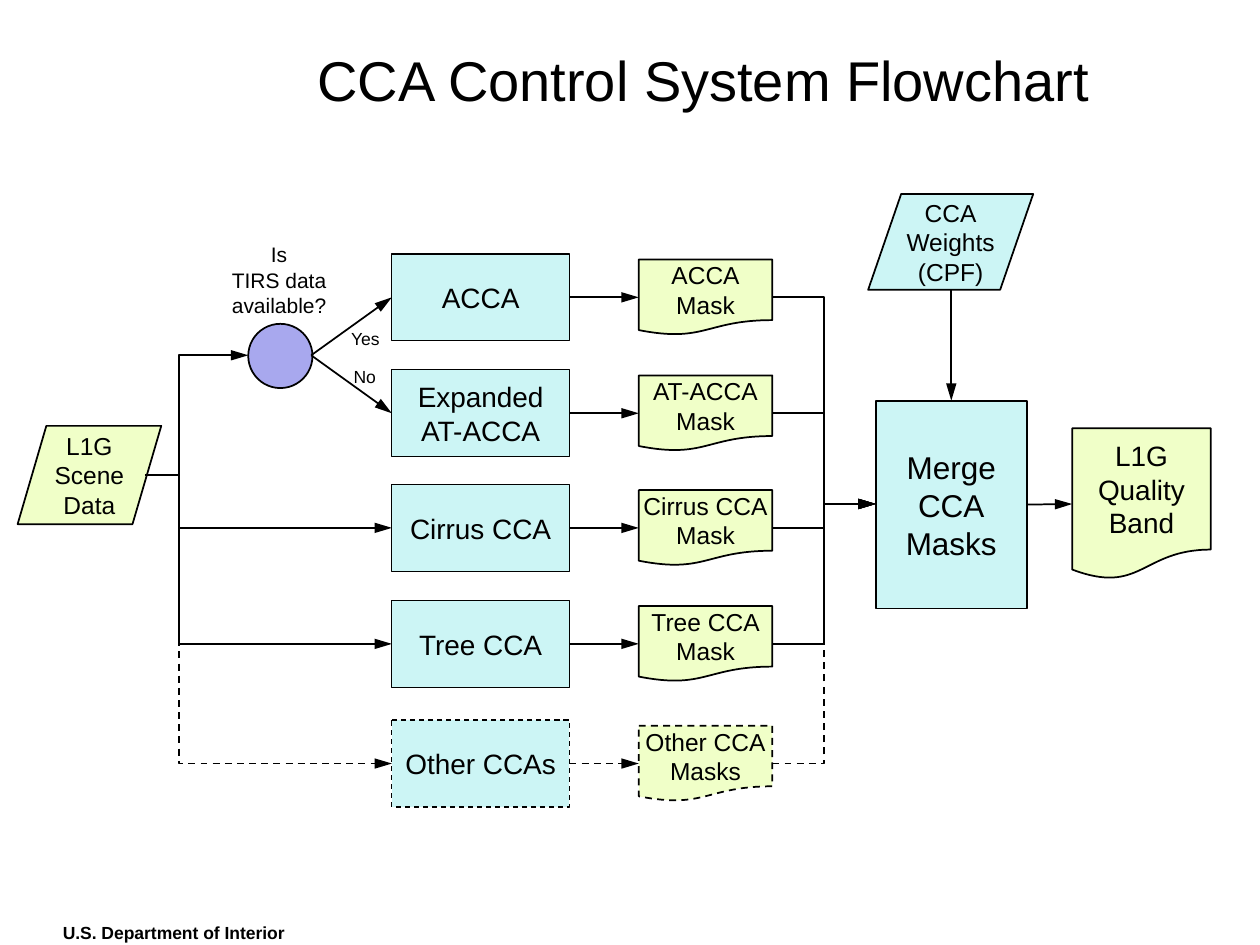
"""Build the CCA control system flowchart slide."""
from pptx import Presentation
from pptx.util import Inches, Pt
from pptx.dml.color import RGBColor
from pptx.enum.dml import MSO_LINE
from pptx.enum.shapes import MSO_CONNECTOR as LINK, MSO_SHAPE as FORM
from pptx.enum.text import MSO_ANCHOR, PP_ALIGN
from pptx.oxml.ns import qn
from lxml.etree import SubElement

COLORS = {"ink": "000000", "aqua": "CCF5F5", "lime": "F0FFC8", "violet": "A8A8EE"}

deck = Presentation()
deck.slide_width, deck.slide_height = Inches(10), Inches(7.5)
slide = deck.slides.add_slide(deck.slide_layouts[6])
shapes = slide.shapes
unit = deck.slide_width / 100


def node(form, x, y, w, h, text, size, fill=None, dash=False, weight=1, align=PP_ALIGN.CENTER):
    box = [round(v * unit) for v in (x, y, w, h)]
    if form is None:
        item = shapes.add_textbox(*box)
    else:
        item = shapes.add_shape(form, *box)
        item.shadow.inherit = False
        item.fill.solid()
        item.fill.fore_color.rgb = RGBColor.from_string(COLORS[fill])
        item.line.color.rgb = RGBColor.from_string(COLORS["ink"])
        item.line.width = Pt(weight)
        if dash:
            item.line.dash_style = MSO_LINE.DASH
    frame = item.text_frame
    frame.word_wrap = align == PP_ALIGN.LEFT
    frame.vertical_anchor = MSO_ANCHOR.MIDDLE
    frame.text = text
    for para in frame.paragraphs:
        para.alignment = align
        for run in para.runs:
            run.font.name = "Arial"
            run.font.size = Pt(size)
            run.font.color.rgb = RGBColor.from_string(COLORS["ink"])
    return item


def link(start, end, kind=LINK.STRAIGHT, dash=False, head=True):
    wire = shapes.add_connector(kind, *[round(v * unit) for v in (*start, *end)])
    wire.line.color.rgb = RGBColor.from_string(COLORS["ink"])
    wire.line.width = Pt(1)
    if dash:
        wire.line.dash_style = MSO_LINE.DASH
    props = wire._element.spPr
    if head:
        SubElement(props.find(qn("a:ln")), qn("a:tailEnd"), type="triangle", w="med", len="lg")
    SubElement(props, qn("a:effectLst"))
    return wire


title = node(None, 24.2, 2.7, 75.8, 7.1, "CCA Control System Flowchart", 32, align=PP_ALIGN.LEFT)
footer = node(None, 4, 72.7, 20.1, 2.7, "U.S. Department of Interior", 10, align=PP_ALIGN.LEFT)
footer.text_frame.paragraphs[0].runs[0].font.bold = True

trunk, left, right = 14.2, 31.1, 61.3
hub = (69.5, 40)
test = (19.7, 28.2)
rows = [
    (23.6, "ACCA", "ACCA\nMask"),
    (32.8, "Expanded\nAT-ACCA", "AT-ACCA\nMask"),
    (41.9, "Cirrus CCA", "Cirrus CCA\nMask"),
    (51.1, "Tree CCA", "Tree CCA\nMask"),
    (60.6, "Other CCAs", "Other CCA\nMasks"),
]

scene = node(FORM.FLOWCHART_DATA, 1.4, 33.8, 11.4, 7.8, "L1G\nScene\nData", 14, "lime")
merge = node(FORM.RECTANGLE, 69.5, 31.8, 12, 16.5, "Merge\nCCA\nMasks", 18, "aqua")
band = node(FORM.FLOWCHART_DOCUMENT, 85.1, 34, 11, 12, "L1G\nQuality\nBand", 16, "lime")
gate = node(FORM.OVAL, 19.7, 25.7, 5.1, 5.1, "", 12, "violet")
weights = node(FORM.FLOWCHART_DATA, 68.9, 15.4, 13.1, 7.6, "CCA\nWeights\n(CPF)", 14, "aqua")

procs = []
for mid, name, mask in rows:
    dash = name.startswith("Other")
    proc = node(FORM.FLOWCHART_PROCESS, left, mid - 3.45, 14.1, 6.9, name, 16, "aqua", dash, 0.75)
    paper = node(FORM.FLOWCHART_DOCUMENT, 50.7, mid - 3, 10.6, 6, mask, 14, "lime", dash)
    wire = link((45.2, mid), (50.7, mid), dash=dash)
    wire.begin_connect(proc, 3)
    wire.end_connect(paper, 1)
    link((right, mid), hub, LINK.ELBOW, dash)
    procs.append(proc)

turns = [(37.3, *test)] + [(38.2, left, row[0]) for row in rows[2:]]
for top, x, y in turns:
    wide, tall = x - trunk, y - top
    cx, cy = (trunk + x) / 2, (top + y) / 2
    half = abs(tall) / 2
    rise = wide / 2 if tall > 0 else -wide / 2
    wire = link((cx + half, cy - rise), (cx - half, cy + rise), LINK.ELBOW, y == rows[-1][0])
    props = wire._element.spPr
    props.find(qn("a:prstGeom")).set("prst", "bentConnector2")
    props.find(qn("a:xfrm")).set("rot", "16200000" if tall > 0 else "5400000")

link((11.5, 37.7), (trunk, 37.7), head=False)
link((trunk, 37.3), (trunk, 38.2), head=False)
for proc, row in zip(procs[:2], rows):
    link((24.7, 28.2), (left, row[0])).end_connect(proc, 1)
link((75.5, 23), (75.5, 31.8)).end_connect(merge, 0)
wire = link((81.5, 40), (85.1, 40))
wire.begin_connect(merge, 3)
wire.end_connect(band, 1)

node(None, 17.4, 18.7, 9.5, 7, "Is\nTIRS data\navailable?", 12)
node(None, 26.8, 25.5, 4.4, 2.7, "Yes", 10)
node(None, 26.9, 28.5, 4.1, 2.7, "No", 10)

deck.save("out.pptx")
